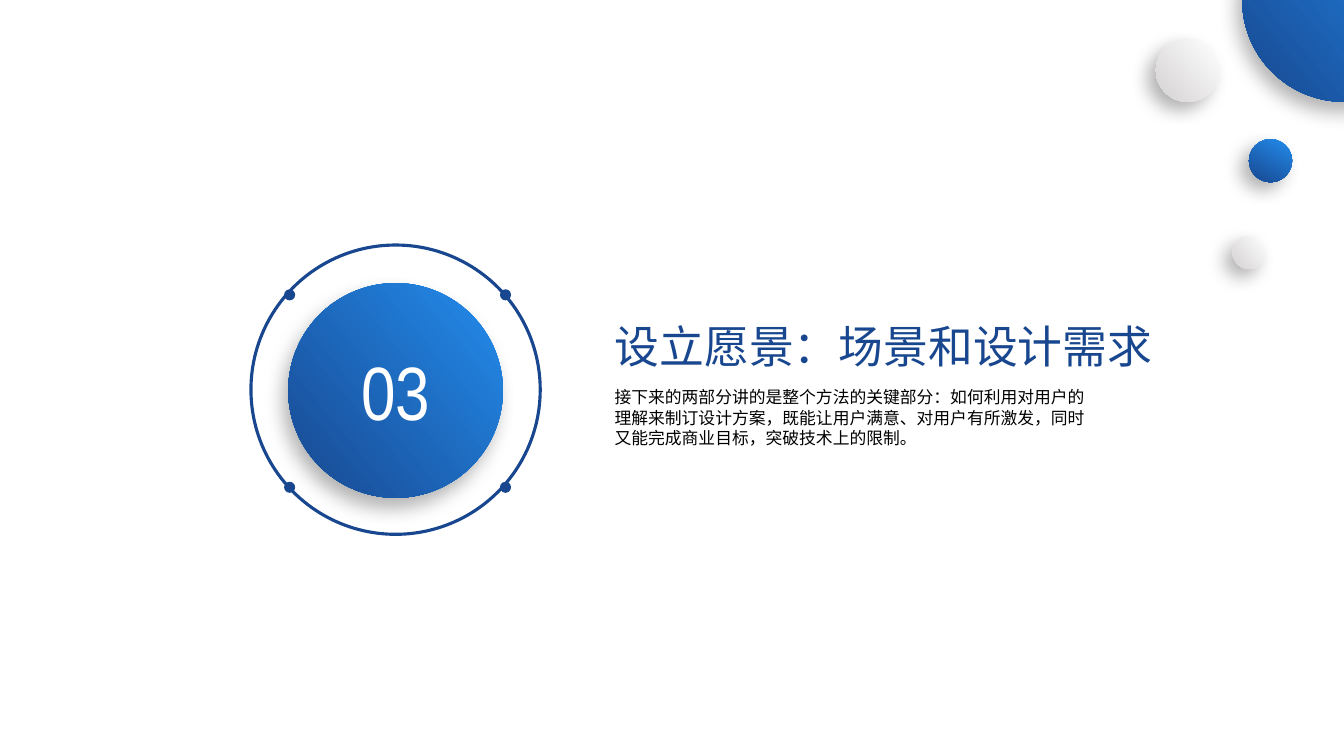
import itertools

import pptx
import pptx.dml.color
import pptx.enum.shapes
import pptx.enum.text
import pptx.oxml
import pptx.oxml.ns
import pptx.util
from pptx.util import Cm

COLORS = {
    "navy": "18478F",
    "sky": "238DED",
    "white": "FFFFFF",
    "silver": "D4D2D3",
    "black": "000000",
}
BLUE = ("sky", "navy")
GREY = ("white", "silver")


def rgb(name):
    """Return the named colour."""
    return pptx.dml.color.RGBColor.from_string(COLORS[name])


def write(frame, text, size, color, font="Open Sans", align="LEFT", anchor="TOP"):
    """Put formatted text into a text frame."""
    frame.word_wrap = True
    frame.vertical_anchor = getattr(pptx.enum.text.MSO_ANCHOR, anchor)
    paragraph = frame.paragraphs[0]
    paragraph.alignment = getattr(pptx.enum.text.PP_ALIGN, align)
    run = paragraph.add_run()
    run.text = text
    run.font.size = pptx.util.Pt(size)
    run.font.name = font
    run.font.color.rgb = rgb(color)


class SectionSlide:
    """Holds the current slide and draws its elements, measured in centimetres."""

    def __init__(self, deck):
        """Add a blank slide to the deck."""
        self.slide = deck.slides.add_slide(deck.slide_layouts[6])

    def circle(self, center, diameter):
        """Draw a plain circle around a centre, without fill, line or shadow."""
        left, top = (Cm(middle - diameter / 2) for middle in center)
        circle = self.slide.shapes.add_shape(
            pptx.enum.shapes.MSO_SHAPE.OVAL, left, top, Cm(diameter), Cm(diameter))
        circle.fill.background()
        circle.line.fill.background()
        circle.shadow.inherit = False
        return circle

    def ring(self, center, diameter, color, width):
        """Draw an outlined circle."""
        ring = self.circle(center, diameter)
        ring.line.color.rgb = rgb(color)
        ring.line.width = pptx.util.Pt(width)

    def dot(self, center, diameter, color):
        """Draw a circle of one colour."""
        dot = self.circle(center, diameter)
        dot.fill.solid()
        dot.fill.fore_color.rgb = rgb(color)

    def ball(self, center, diameter, shades, angle=140, blur=13, shadow_angle=135):
        """Draw a circle with a gradient and a soft shadow; angles run clockwise."""
        ball = self.circle(center, diameter)
        ball.fill.gradient()
        ball.fill.gradient_angle = 360 - angle
        for stop, shade, position in zip(ball.fill.gradient_stops, shades, (0, 1)):
            stop.color.rgb = rgb(shade)
            stop.position = position
        effects = ball._element.spPr.find(pptx.oxml.ns.qn("a:effectLst"))
        effects.append(pptx.oxml.parse_xml(
            f'<a:outerShdw {pptx.oxml.ns.nsdecls("a")} blurRad="{pptx.util.Pt(blur)}" '
            f'dist="{pptx.util.Pt(8)}" dir="{shadow_angle * 60000}" algn="ctr" '
            f'rotWithShape="0"><a:srgbClr val="{COLORS["black"]}">'
            '<a:alpha val="30000"/></a:srgbClr></a:outerShdw>'))
        return ball

    def text(self, left, top, width, height, text, **style):
        """Draw a text box."""
        box = self.slide.shapes.add_textbox(Cm(left), Cm(top), Cm(width), Cm(height))
        write(box.text_frame, text, **style)


def main():
    """Build the section slide and save it."""
    deck = pptx.Presentation()
    deck.slide_width, deck.slide_height = Cm(33.87), Cm(19.05)
    section = SectionSlide(deck)

    section.ring((9.97, 9.82), 7.29, "navy", 2.25)
    for center in itertools.product((7.3, 12.74), (7.43, 12.28)):
        section.dot(center, 0.28, "navy")

    section.text(15.24, 7.9, 14.2, 1.63, "设立愿景：场景和设计需求", size=32, color="navy")
    section.text(
        15.24, 9.63, 12.5, 1.8,
        "接下来的两部分讲的是整个方法的关键部分：如何利用对用户的理解来制订设计方案，"
        "既能让用户满意、对用户有所激发，同时又能完成商业目标，突破技术上的限制。",
        size=12, color="black")

    number = section.ball((9.97, 9.84), 5.41, BLUE, blur=14, shadow_angle=120)
    write(number.text_frame, "03", size=54, color="white", font="Arial Narrow",
          align="CENTER", anchor="MIDDLE")

    section.ball((33.87, 0), 5.13, BLUE, blur=14, shadow_angle=120)
    section.ball((29.93, 1.77), 1.6, GREY)
    section.ball((31.48, 6.36), 0.84, GREY)
    section.ball((32.02, 4.05), 1.09, BLUE, angle=120)

    deck.save("out.pptx")


main()
